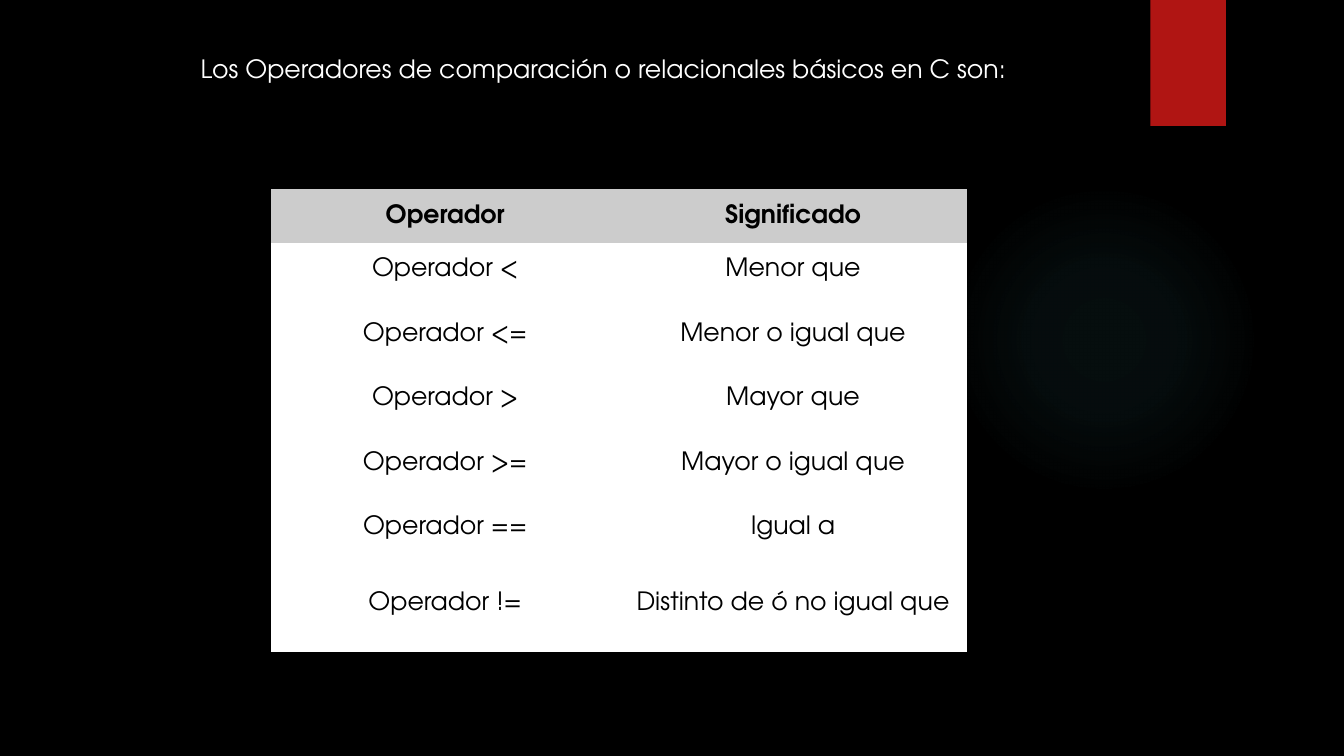
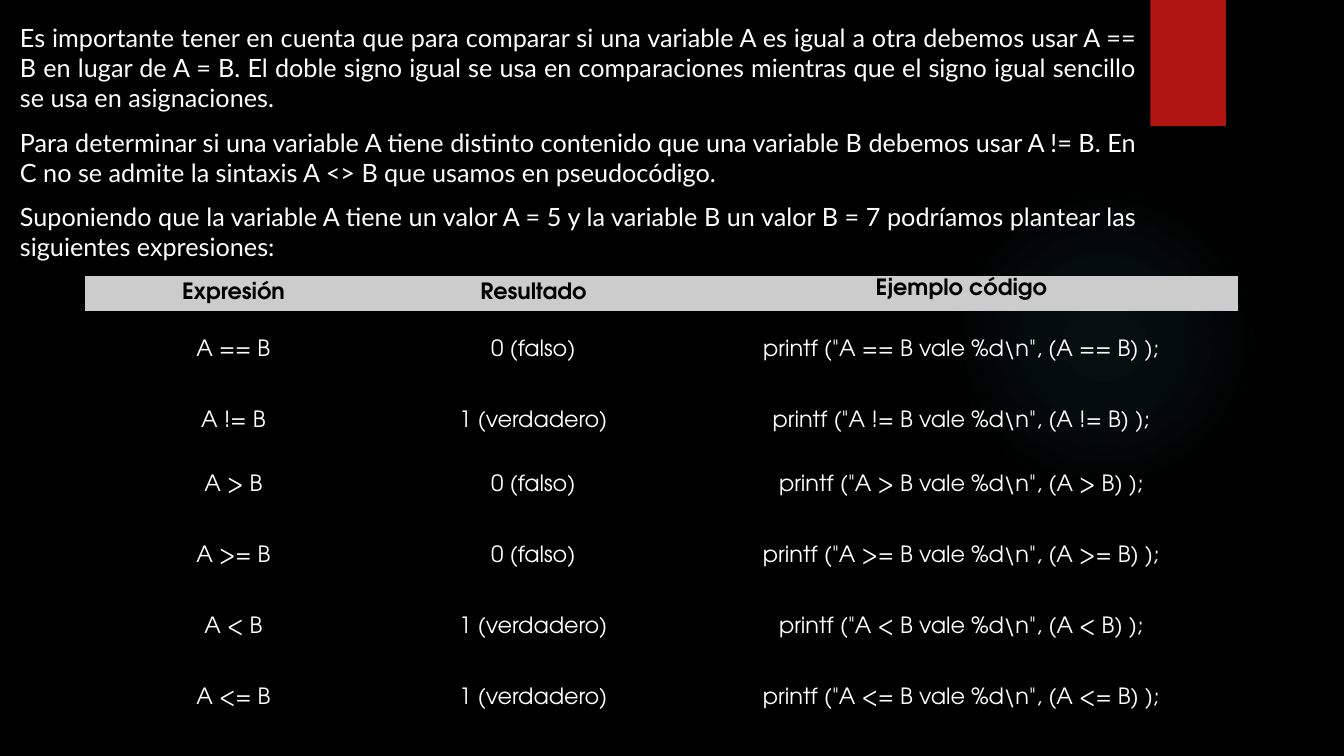
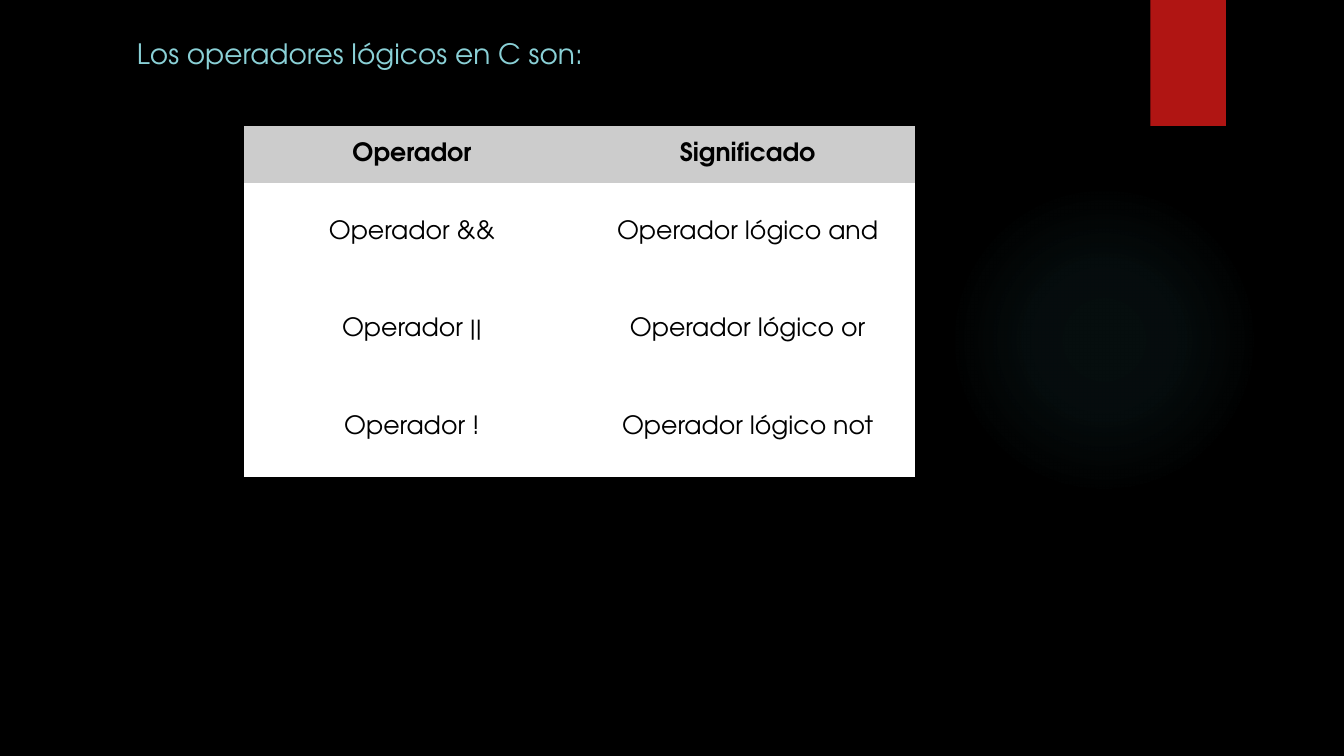
"""Build three slides on the comparison and logical operators of C."""
from dataclasses import dataclass

from lxml.etree import SubElement
from pptx import Presentation
from pptx.dml.color import RGBColor
from pptx.enum.shapes import MSO_SHAPE
from pptx.enum.text import MSO_ANCHOR, PP_ALIGN
from pptx.oxml import parse_xml
from pptx.oxml.ns import nsdecls, qn
from pptx.slide import Slide
from pptx.text.text import _Paragraph
from pptx.util import Inches, Pt


@dataclass(frozen=True)
class Theme:
    backdrop: str = "000000"
    ribbon: str = "B01513"
    glow: str = "50B9C1"
    heading: str = "8AD0D6"
    light: str = "FFFFFF"
    dark: str = "000000"
    header_fill: str = "CCCCCC"
    display_font: str = "TeX Gyre Adventor"
    body_font: str = "Lato"
    heading_size: int = 20
    text_size: int = 18
    code_size: int = 16
    paragraph_gap: int = 10


THEME = Theme()
GLOW_STOPS = ((0, 7), (36, 6), (69, 0))
NO_TABLE_STYLE = "{2D5ABB26-0587-4C30-8999-92F81FD0307C}"


@dataclass(frozen=True)
class Box:
    left: float
    top: float
    width: float
    height: float

    def lengths(self) -> tuple[Inches, ...]:
        return tuple(map(Inches, (self.left, self.top, self.width, self.height)))


@dataclass(frozen=True)
class Type:
    size: int = THEME.text_size
    color: str = THEME.light
    font: str = THEME.display_font
    bold: bool = False


@dataclass(frozen=True)
class Passage:
    box: Box
    paragraphs: tuple[str, ...]
    type: Type = Type()
    align: PP_ALIGN = PP_ALIGN.LEFT


@dataclass(frozen=True)
class Grid:
    box: Box
    columns: tuple[float, ...]
    heights: tuple[float, ...]
    rows: tuple[tuple[str, ...], ...]
    inset: float
    size: int = THEME.text_size
    color: str = THEME.dark
    body_fill: str | None = THEME.light
    top_headers: tuple[str, ...] = ()


@dataclass(frozen=True)
class Page:
    passage: Passage
    grid: Grid


def add_run(paragraph: _Paragraph, text: str, style: Type) -> None:
    run = paragraph.add_run()
    run.text = text
    run.font.name = style.font
    run.font.size = Pt(style.size)
    run.font.bold = style.bold
    run.font.color.rgb = RGBColor.from_string(style.color)


def add_glow(slide: Slide) -> None:
    glow = slide.shapes.add_shape(MSO_SHAPE.OVAL, *Box(9.41, 1.83, 3.08, 3.08).lengths())
    glow.shadow.inherit = False
    glow.line.fill.background()
    glow.fill.background()
    stops = "".join(
        f'<a:gs pos="{position * 1000}"><a:srgbClr val="{THEME.glow}">'
        f'<a:alpha val="{alpha * 1000}"/></a:srgbClr></a:gs>'
        for position, alpha in GLOW_STOPS
    )
    gradient = parse_xml(
        f'<a:gradFill {nsdecls("a")} rotWithShape="1"><a:gsLst>{stops}</a:gsLst>'
        '<a:path path="circle"><a:fillToRect l="50000" t="50000" r="50000" b="50000"/>'
        "</a:path></a:gradFill>"
    )
    properties = glow._element.spPr
    properties.replace(properties.find(qn("a:noFill")), gradient)


def add_ribbon(slide: Slide) -> None:
    ribbon = slide.shapes.add_shape(MSO_SHAPE.RECTANGLE, *Box(11.41, 0, 0.75, 1.25).lengths())
    ribbon.shadow.inherit = False
    ribbon.line.fill.background()
    ribbon.fill.solid()
    ribbon.fill.fore_color.rgb = RGBColor.from_string(THEME.ribbon)
    effects = ribbon._element.spPr.find(qn("a:effectLst"))
    shadow = SubElement(
        effects, qn("a:outerShdw"), blurRad=str(Pt(3)), dist=str(Pt(2)), dir="5400000"
    )
    color = SubElement(shadow, qn("a:srgbClr"), val=THEME.dark)
    SubElement(color, qn("a:alpha"), val="45000")


def add_passage(slide: Slide, passage: Passage) -> None:
    frame = slide.shapes.add_textbox(*passage.box.lengths()).text_frame
    frame.word_wrap = True
    for index, text in enumerate(passage.paragraphs):
        paragraph = frame.add_paragraph() if index else frame.paragraphs[0]
        paragraph.alignment = passage.align
        if index:
            paragraph.space_before = Pt(THEME.paragraph_gap)
        add_run(paragraph, text, passage.type)


def add_grid(slide: Slide, grid: Grid) -> None:
    frame = slide.shapes.add_table(len(grid.rows), len(grid.columns), *grid.box.lengths())
    table = frame.table
    table.horz_banding = False
    next(frame._element.iter(qn("a:tableStyleId"))).text = NO_TABLE_STYLE
    for column, width in zip(table.columns, grid.columns):
        column.width = Inches(width)
    for row, height in zip(table.rows, grid.heights):
        row.height = Inches(height)
    header = Type(grid.size, THEME.dark, bold=True)
    body = Type(grid.size, grid.color)
    for r, texts in enumerate(grid.rows):
        fill = grid.body_fill if r else THEME.header_fill
        for c, text in enumerate(texts):
            cell = table.cell(r, c)
            cell.margin_left = cell.margin_right = Inches(grid.inset)
            cell.margin_top = cell.margin_bottom = Inches(grid.inset)
            at_top = text in grid.top_headers
            cell.vertical_anchor = MSO_ANCHOR.TOP if at_top else MSO_ANCHOR.MIDDLE
            if fill:
                cell.fill.solid()
                cell.fill.fore_color.rgb = RGBColor.from_string(fill)
            else:
                cell.fill.background()
            paragraph = cell.text_frame.paragraphs[0]
            paragraph.alignment = PP_ALIGN.CENTER
            add_run(paragraph, text, body if r else header)


def expression_row(operator: str, is_true: bool) -> tuple[str, str, str]:
    expression = f"A {operator} B"
    result = "1 (verdadero)" if is_true else "0 (falso)"
    return expression, result, f'printf ("{expression} vale %d\\n", ({expression}) );'


OPERATOR_HEADERS = ("Operador", "Significado")
RESULTS = (
    ("==", False), ("!=", True), (">", False), (">=", False), ("<", True), ("<=", True),
)

PAGES = (
    Page(
        Passage(
            Box(1.89, 0.48, 8.51, 0.4),
            ("Los Operadores de comparación o relacionales básicos en C son:",),
        ),
        Grid(
            Box(2.69, 1.88, 6.9, 4.59),
            (3.45, 3.45),
            (0.53, 0.53, 0.75, 0.53, 0.75, 0.53, 0.97),
            (
                OPERATOR_HEADERS,
                ("Operador <", "Menor que"),
                ("Operador <=", "Menor o igual que"),
                ("Operador >", "Mayor que"),
                ("Operador >=", "Mayor o igual que"),
                ("Operador ==", "Igual a"),
                ("Operador !=", "Distinto de ó no igual que"),
            ),
            inset=0.04,
        ),
    ),
    Page(
        Passage(
            Box(0.1, 0.17, 11.27, 2.91),
            (
                "Es importante tener en cuenta que para comparar si una variable A es igual "
                "a otra debemos usar A == B en lugar de A = B. El doble signo igual se usa en "
                "comparaciones mientras que el signo igual sencillo se usa en asignaciones.",
                "Para determinar si una variable A tiene distinto contenido que una variable "
                "B debemos usar A != B. En C no se admite la sintaxis A <> B que usamos en "
                "pseudocódigo.",
                "Suponiendo que la variable A tiene un valor A = 5 y la variable B un valor "
                "B = 7 podríamos plantear las siguientes expresiones:",
            ),
            Type(font=THEME.body_font),
            PP_ALIGN.JUSTIFY,
        ),
        Grid(
            Box(0.84, 2.74, 11.44, 4.58),
            (2.95, 3, 5.49),
            (0.35, 0.78, 0.63, 0.63, 0.78, 0.63, 0.78),
            (
                ("Expresión", "Resultado", "Ejemplo código"),
                *(expression_row(operator, is_true) for operator, is_true in RESULTS),
            ),
            inset=0.03,
            size=THEME.code_size,
            color=THEME.light,
            body_fill=None,
            top_headers=("Ejemplo código",),
        ),
    ),
    Page(
        Passage(
            Box(1.26, 0.31, 9.65, 0.94),
            ("Los operadores lógicos en C son:",),
            Type(THEME.heading_size, THEME.heading),
        ),
        Grid(
            Box(2.42, 1.25, 6.66, 3.48),
            (3.33, 3.33),
            (0.57, 0.97, 0.97, 0.97),
            (
                OPERATOR_HEADERS,
                ("Operador &&", "Operador lógico and"),
                ("Operador ||", "Operador lógico or"),
                ("Operador !", "Operador lógico not"),
            ),
            inset=0.06,
        ),
    ),
)


def main() -> None:
    deck = Presentation()
    deck.slide_width, deck.slide_height = Inches(13.33), Inches(7.5)
    backdrop = deck.slide_master.background.fill
    backdrop.solid()
    backdrop.fore_color.rgb = RGBColor.from_string(THEME.backdrop)
    for page in PAGES:
        slide = deck.slides.add_slide(deck.slide_layouts[6])
        add_glow(slide)
        add_ribbon(slide)
        add_passage(slide, page.passage)
        add_grid(slide, page.grid)
    deck.save("out.pptx")


if __name__ == "__main__":
    main()
